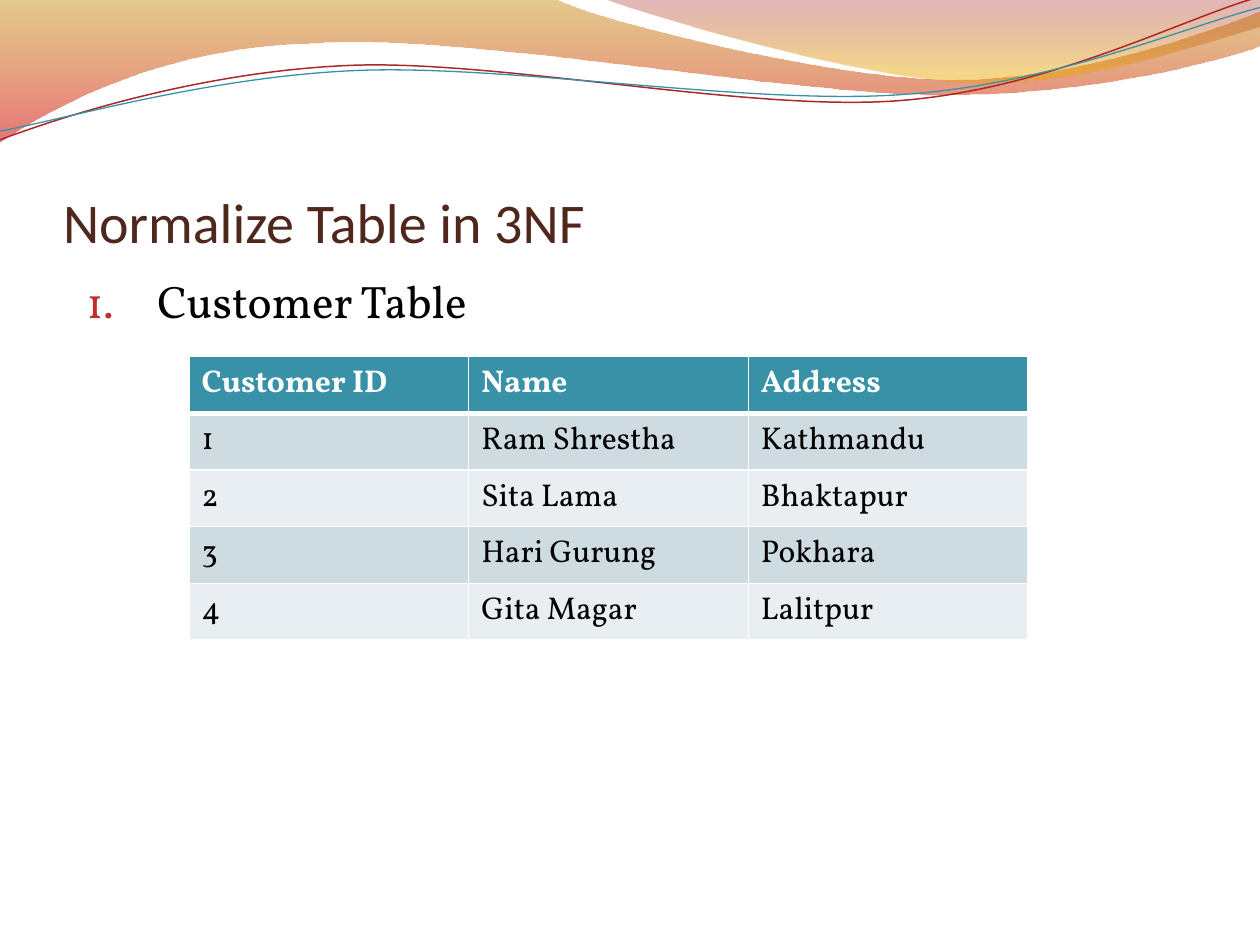
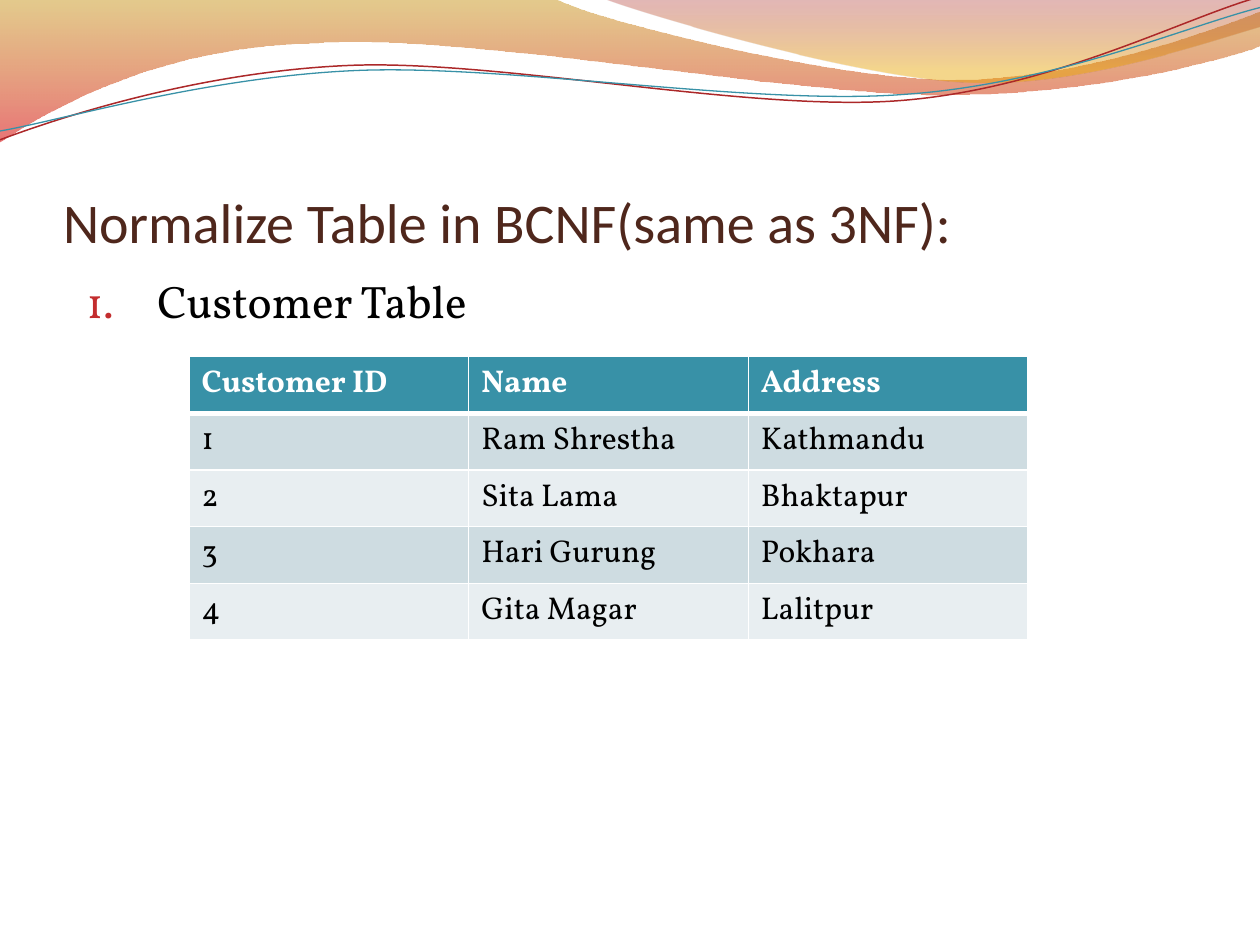
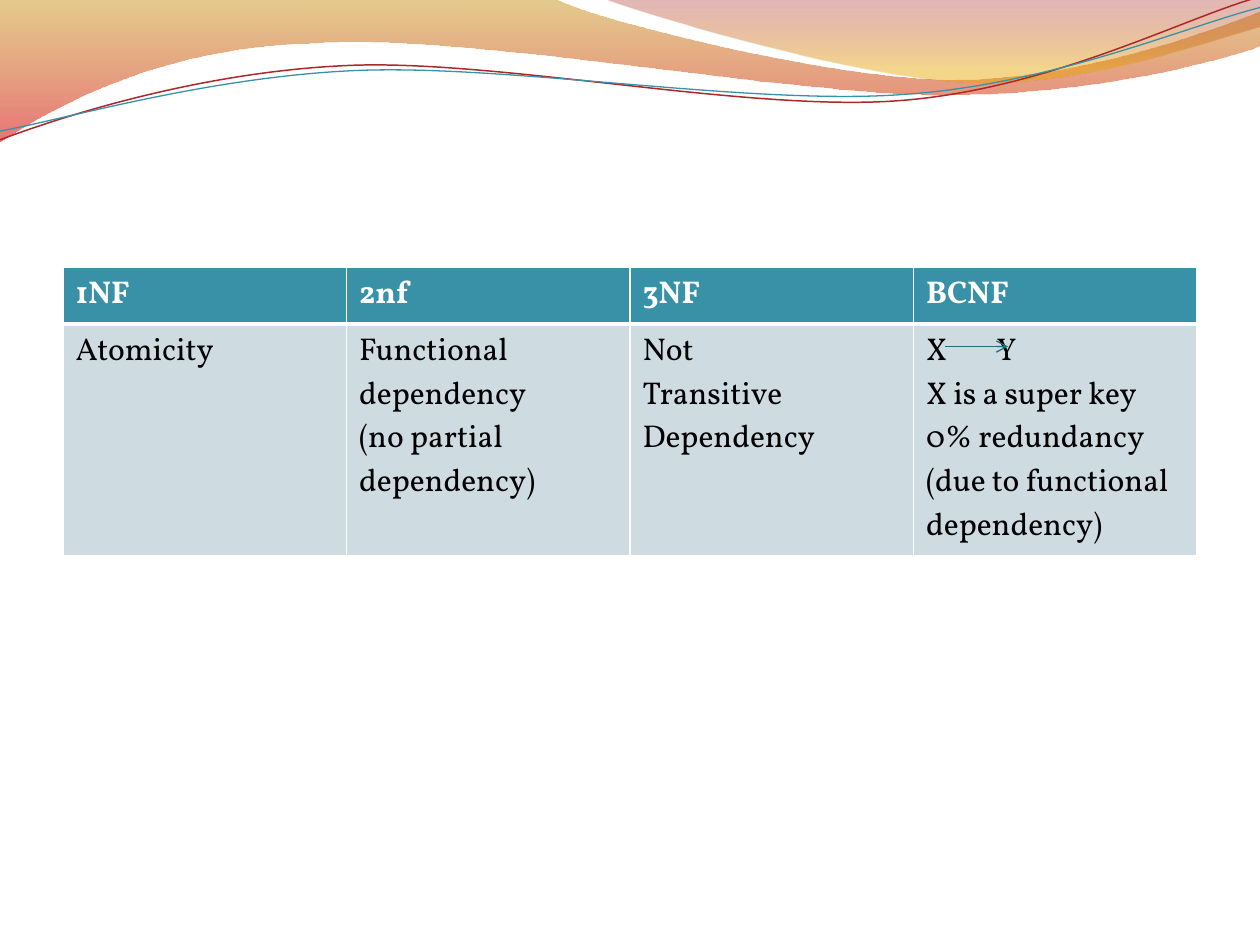
from lxml.etree import SubElement
from pptx import Presentation
from pptx.dml.color import RGBColor
from pptx.enum.shapes import MSO_CONNECTOR
from pptx.enum.text import MSO_ANCHOR, MSO_AUTO_SIZE, PP_ALIGN
from pptx.oxml import parse_xml
from pptx.oxml.ns import nsdecls, qn
from pptx.util import Inches, Pt

HUES = {
    "title": "4F271C", "text": "000000", "white": "FFFFFF", "bullet": "C32D2E",
    "head": "3891A7", "odd": "CEDCE1", "even": "E8EEF1", "arrow": "286C7D",
    "gold": "C38B00", "red": "D60305", "wine": "A11112", "amber": "E9A600",
    "crimson": "AC2829",
}
SERIF = "Vollkorn"

BANDS = [
    {"start": (0, 0), "stops": [("gold", 0, 45), ("red", 1, 55)], "steps": [
        (4.4, -0.01), (4.76, 0.17, 6.64, 0.63, 7.58, 0.63),
        (8.53, 0.63, 9.58, 0.26, 10, 0.09), (10.01, 0.36),
        (9.83, 0.44, 8.7, 0.76, 7.46, 0.75), (6.22, 0.75, 3.82, 0.28, 2.57, 0.34),
        (1.29, 0.36, 0.46, 0.83, -0.01, 1.13), (0, 0)]},
    {"start": (4.79, -0.01), "stops": [("wine", 0, 30), ("amber", 0.8, 45)], "steps": [
        (5.09, 0.11, 6.82, 0.62, 7.69, 0.65), (8.56, 0.69, 9.61, 0.32, 10, 0.21),
        (10, 0), (4.79, -0.01)]},
    {"start": (0, 1.11), "line": ("crimson", 0.85), "steps": [
        (0.48, 0.93, 1.58, 0.57, 2.77, 0.52), (3.95, 0.47, 5.93, 0.89, 7.13, 0.8),
        (8.33, 0.71, 9.38, 0.15, 9.98, -0.02)]},
    {"start": (0, 1.04), "line": ("head", 0.75), "steps": [
        (0.47, 0.96, 1.64, 0.61, 2.83, 0.56), (4.03, 0.51, 5.97, 0.84, 7.17, 0.75),
        (8.36, 0.67, 9.41, 0.21, 10, 0.06)]},
]

TITLES = ["Normalize Table in 3NF", "Normalize Table in BCNF(same as 3NF):"]
ITEM = "Customer Table"
CLIENTS = [
    ("Customer ID", "Name", "Address"),
    ("1", "Ram Shrestha", "Kathmandu"),
    ("2", "Sita Lama", "Bhaktapur"),
    ("3", "Hari Gurung", "Pokhara"),
    ("4", "Gita Magar", "Lalitpur"),
]
FORMS = [
    ("1NF", "2nf", "3NF", "BCNF"),
    ("Atomicity",
     "Functional dependency\n(no partial dependency)",
     "Not\nTransitive Dependency",
     "X\tY\nX is a super key\n0% redundancy (due to functional dependency)"),
]


def hue(name):
    return RGBColor.from_string(HUES[name])


def put(thing, **vals):
    for key, val in vals.items():
        setattr(thing, key, val)


def style(para, font, size, color, bold=False):
    for run in para.runs:
        put(run.font, name=font, size=Pt(size), bold=bold)
        run.font.color.rgb = hue(color)


def bend(shape, steps):
    lines = iter(list(shape.element.iter(qn("a:lnTo"))))
    for step in steps:
        first = next(lines)
        if len(step) == 6:
            first.tag = qn("a:cubicBezTo")
            for _ in range(2):
                line = next(lines)
                first.append(line[0])
                line.getparent().remove(line)


def add_band(slide, band):
    steps = band["steps"]
    spots = [(Inches(s[i]), Inches(s[i + 1])) for s in steps for i in range(0, len(s), 2)]
    pen = slide.shapes.build_freeform(*map(Inches, band["start"]))
    pen.add_line_segments(spots, close="stops" in band)
    shape = pen.convert_to_shape()
    bend(shape, steps)
    shape.shadow.inherit = False
    if "line" in band:
        color, width = band["line"]
        shape.fill.background()
        shape.line.color.rgb = hue(color)
        shape.line.width = Pt(width)
        return shape
    shape.line.fill.background()
    shape.fill.gradient()
    shape.fill.gradient_angle = 270
    for stop, (color, place, _) in zip(shape.fill.gradient_stops, band["stops"]):
        stop.color.rgb = hue(color)
        stop.position = place
    for node, (_, _, alpha) in zip(shape.element.iter(qn("a:srgbClr")), band["stops"]):
        SubElement(node, qn("a:alpha"), val=str(alpha * 1000))
    return shape


def dress(deck, slide):
    tree = deck.slide_master.shapes.element
    for i, band in enumerate(BANDS):
        shape = add_band(slide, band)
        shape.element.xpath(".//p:cNvPr")[0].set("id", str(100 + i))
        tree.append(shape.element)


def add_title(slide, text):
    title = slide.shapes.title
    put(title, left=Inches(0.5), top=Inches(0.77), width=Inches(9), height=Inches(1.25))
    frame = title.text_frame
    put(frame, text=text, vertical_anchor=MSO_ANCHOR.BOTTOM, auto_size=MSO_AUTO_SIZE.NONE,
        margin_left=0, margin_top=Inches(0.05), margin_right=0, margin_bottom=0)
    para = frame.paragraphs[0]
    para.alignment = PP_ALIGN.LEFT
    style(para, "Calibri", 32, "title")


def add_item(slide, text):
    box = slide.shapes.add_textbox(Inches(0.5), Inches(2.12), Inches(9), Inches(4.8))
    put(box.text_frame, word_wrap=True, text=text)
    para = box.text_frame.paragraphs[0]
    para.space_before = Pt(5)
    style(para, SERIF, 26, "text")
    props = para._p.get_or_add_pPr()
    props.set("marL", str(Inches(0.65)))
    props.set("indent", str(Inches(-0.56)))
    tint = SubElement(props, qn("a:buClr"))
    SubElement(tint, qn("a:srgbClr"), val=HUES["bullet"])
    SubElement(props, qn("a:buSzPct"), val="95000")
    SubElement(props, qn("a:buFont"), typeface=SERIF)
    SubElement(props, qn("a:buAutoNum"), type="arabicPeriod")


def edge(cell, row):
    props = cell._tc.get_or_add_tcPr()
    thick = {"B": 3} if row == 0 else {"T": 3} if row == 1 else {}
    for i, side in enumerate("LRTB"):
        props.insert(i, parse_xml(
            f'<a:ln{side} {nsdecls("a")} w="{Pt(thick.get(side, 1))}"><a:solidFill>'
            f'<a:srgbClr val="{HUES["white"]}"/></a:solidFill></a:ln{side}>'))


def add_grid(slide, rows, left, top, width, highs):
    grid = slide.shapes.add_table(len(rows), len(rows[0]), Inches(left), Inches(top),
                                  Inches(width), Inches(sum(highs))).table
    for r, (texts, high) in enumerate(zip(rows, highs)):
        grid.rows[r].height = Inches(high)
        fill = "head" if r == 0 else "odd" if r % 2 else "even"
        for c, text in enumerate(texts):
            cell = grid.cell(r, c)
            cell.text = text
            cell.fill.solid()
            cell.fill.fore_color.rgb = hue(fill)
            edge(cell, r)
            for para in cell.text_frame.paragraphs:
                style(para, SERIF, 18, "text" if r else "white", r == 0)
                if "\t" in para.text:
                    tabs = SubElement(para._p.get_or_add_pPr(), qn("a:tabLst"))
                    SubElement(tabs, qn("a:tab"), pos=str(Inches(0.56)), algn="l")


def add_arrow(slide, left, right, y):
    arrow = slide.shapes.add_connector(MSO_CONNECTOR.STRAIGHT, Inches(left), Inches(y),
                                       Inches(right), Inches(y))
    arrow.line.color.rgb = hue("arrow")
    arrow.line.width = Pt(0.75)
    SubElement(next(arrow.element.iter(qn("a:ln"))), qn("a:tailEnd"), type="arrow")
    SubElement(arrow.element.spPr, qn("a:effectLst"))


def main():
    deck = Presentation()
    put(deck, slide_width=Inches(10), slide_height=Inches(7.5))
    for text in TITLES:
        slide = deck.slides.add_slide(deck.slide_layouts[5])
        add_title(slide, text)
        add_item(slide, ITEM)
        add_grid(slide, CLIENTS, 1.5, 2.83, 6.66, [0.45] * len(CLIENTS))
    last = deck.slides.add_slide(deck.slide_layouts[6])
    add_grid(last, FORMS, 0.5, 2.12, 9, [0.45, 1.84])
    add_arrow(last, 7.5, 8, 2.75)
    dress(deck, last)
    deck.save("out.pptx")


if __name__ == "__main__":
    main()
